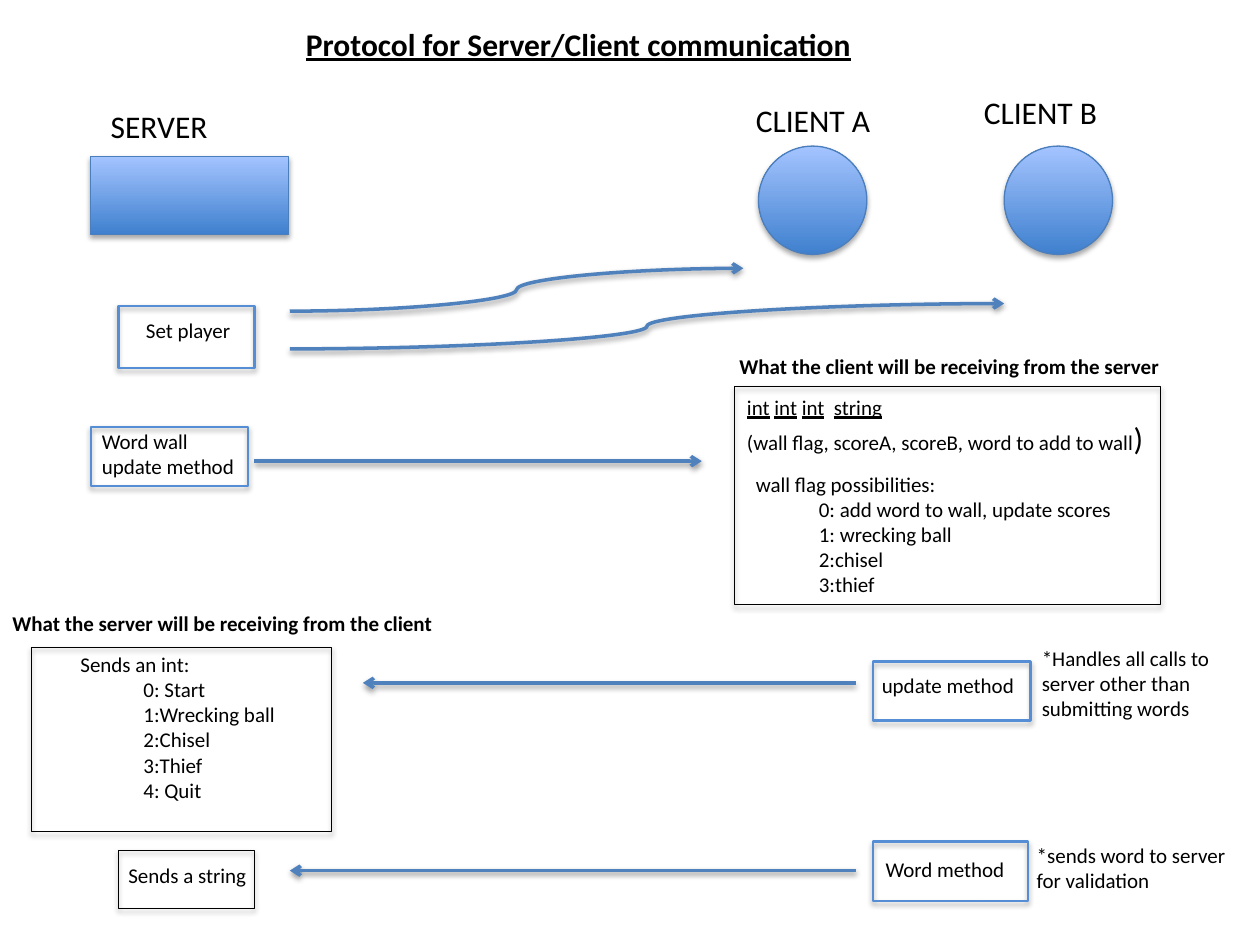
from lxml import etree
from pptx import Presentation, util as u
from pptx.dml.color import RGBColor
from pptx.enum import shapes, text
from pptx.oxml.ns import qn

# Lengths are cells of a 100 x 75 grid; a box is (left, top, width, height).
CELL = u.Inches(0.1)
BLACK, EDGE, ARROW = "000000", "558ED5", "4F81BD"
RECT, OVAL = shapes.MSO_SHAPE.RECTANGLE, shapes.MSO_SHAPE.OVAL
STRAIGHT, CURVE = shapes.MSO_CONNECTOR.STRAIGHT, shapes.MSO_CONNECTOR.CURVE


def colour(value):
    """Turn a hex string into a colour."""
    return RGBColor.from_string(value)


def cells(*values):
    """Turn grid cells into lengths."""
    return [round(value * CELL) for value in values]


def inside(box, left, top, width, height):
    """Return a box placed relative to the corner of another box."""
    return box[0] + left, box[1] + top, width, height


def add_shadow(shape, alpha, distance):
    """Give a shape or connector a soft shadow that falls downwards."""
    effects = etree.SubElement(shape._element.spPr, qn("a:effectLst"))
    outer = etree.SubElement(effects, qn("a:outerShdw"), blurRad=str(u.Pt(3.1)),
                             dist=str(u.Pt(distance)), dir="5400000", rotWithShape="0")
    shade = etree.SubElement(outer, qn("a:srgbClr"), val=BLACK)
    etree.SubElement(shade, qn("a:alpha"), val=str(alpha * 1000))


def add_outline(page, box, line=EDGE, width=1.3, kind=RECT, gradient=False):
    """Add a shadowed shape, hollow or with the blue gradient."""
    shape = page.shapes.add_shape(kind, *cells(*box))
    shape.line.color.rgb = colour(line)
    shape.line.width = u.Pt(width)
    if gradient:
        shape.fill.gradient()
        shape.fill.gradient_angle = 90
        for stop, (position, value) in zip(shape.fill.gradient_stops,
                                           [(0, "3F80CE"), (1, "A4C4FF")]):
            stop.position, stop.color.rgb = position, colour(value)
    else:
        shape.fill.background()
    add_shadow(shape, 35, 1.8)


def add_text(page, box, lines, size=12, bold=False, underline=False, wrap=False):
    """Add a text box with one paragraph a line and return its paragraphs."""
    frame = page.shapes.add_textbox(*cells(*box)).text_frame
    frame.word_wrap = wrap
    frame.auto_size = text.MSO_AUTO_SIZE.SHAPE_TO_FIT_TEXT
    frame.text = "\n".join(lines)
    for para in frame.paragraphs:
        for span in para.runs:
            style_span(span, size, bold, underline)
    return frame.paragraphs


def style_span(span, size=12, bold=False, underline=False):
    """Set the font of a run."""
    font = span.font
    font.name, font.size = "Calibri", u.Pt(size)
    font.bold, font.underline = bold, underline
    font.color.rgb = colour(BLACK)


def add_arrow(page, start, end, kind=STRAIGHT):
    """Add a blue arrow from start to end."""
    arrow = page.shapes.add_connector(kind, *cells(*start, *end))
    arrow.line.color.rgb = colour(ARROW)
    arrow.line.width = u.Pt(2)
    etree.SubElement(arrow.line._get_or_add_ln(), qn("a:tailEnd"), type="arrow")
    add_shadow(arrow, 38, 1.6)


def add_actor(page, box, label, label_box, kind):
    """Add a server or client symbol with its name above."""
    add_outline(page, box, "4B7EBC", 0.75, kind, gradient=True)
    add_text(page, inside(box, *label_box), [label], 18)


def add_method(page, box, lines, label_box, line=EDGE, width=1.3):
    """Add a framed label."""
    add_outline(page, box, line, width)
    add_text(page, inside(box, *label_box), lines)


def add_note(page, box, note):
    """Add a wrapped remark beside a method."""
    add_text(page, box, [note], wrap=True)


def add_server_messages(page, box):
    """Add the panel listing what the client receives."""
    add_outline(page, box, BLACK, 0.75)
    add_text(page, inside(box, -0.6, -3.1, 35.7, 3),
             ["What the client will be receiving from the server"], bold=True)
    types, fields = add_text(page, inside(box, 0, 0.1, 33.8, 6.1),
                             ["", "(wall flag, scoreA, scoreB, word to add to wall"])
    for part in ("int", " ", "int", " ", "int", "  ", "string"):
        span = types.add_run()
        span.text = part
        style_span(span, underline=bool(part.strip()))
    bracket = fields.add_run()
    bracket.text = ")"
    style_span(bracket, 18)
    add_text(page, inside(box, 0.7, 6.2, 30.5, 11.1),
             ["wall flag possibilities:", "\t0: add word to wall, update scores",
              "\t1: wrecking ball", "\t2:chisel", "\t3:thief"])


def add_client_messages(page, box):
    """Add the panel listing what the server receives."""
    add_outline(page, box, BLACK, 0.75)
    add_text(page, inside(box, -2.5, -3.4, 35.8, 3),
             ["What the server will be receiving from the client"], bold=True)
    add_text(page, inside(box, 2.9, -0.2, 17.6, 13.1),
             ["Sends an int:", "\t0: Start", "\t1:Wrecking ball", "\t2:Chisel",
              "\t3:Thief ", "\t4: Quit"])


def build():
    """Build the protocol slide."""
    deck = Presentation()
    deck.slide_width, deck.slide_height = cells(100, 75)
    page = deck.slides.add_slide(deck.slide_layouts[6])

    add_text(page, (23.3, 1.5, 45.7, 4), ["Protocol for Server/Client communication"],
             18, bold=True, underline=True)
    add_actor(page, (7.2, 12.4, 15.7, 6.2), "SERVER", (0.6, -4.4, 9.9, 4), RECT)
    add_actor(page, (60.2, 11.6, 8.6, 8.6), "CLIENT A", (-1.2, -4.1, 11.2, 4), OVAL)
    add_actor(page, (79.7, 11.6, 8.6, 8.6), "CLIENT B", (-2.6, -4.7, 11.2, 4), OVAL)

    add_method(page, (9.4, 24.3, 10.8, 4.9), ["Set player"], (1.2, 0.4, 8.8, 3))
    add_method(page, (7.2, 33.9, 12.5, 4.7), ["Word wall ", "update method"],
               (-0.1, -0.4, 12.6, 5))
    add_method(page, (69.3, 52.5, 12.5, 4.7), ["update method"], (-0.3, 0.4, 12.6, 3))
    add_method(page, (69.3, 66.8, 12.3, 4.7), ["Word method"], (0, 0.7, 11.6, 3))
    add_method(page, (9.4, 67.5, 10.8, 4.6), ["Sends a string"],
               (-0.2, 0.5, 11.5, 3), BLACK, 0.75)

    add_server_messages(page, (58.3, 30.7, 33.8, 17.3))
    add_client_messages(page, (2.5, 51.4, 23.8, 14.6))
    add_note(page, (81.7, 50.7, 18.3, 7.1),
             "*Handles all calls to server other than submitting words")
    add_note(page, (81.3, 66.4, 18.3, 5), "*sends word to server for validation")

    for start, end, kind in [((23, 24.7), (59, 21.3), CURVE),
                             ((23, 27.7), (79.7, 24.1), CURVE),
                             ((20.2, 36.6), (55.7, 36.6), STRAIGHT),
                             ((67.9, 54.2), (28.8, 54.2), STRAIGHT),
                             ((67.9, 69.1), (23, 69.1), STRAIGHT)]:
        add_arrow(page, start, end, kind)
    deck.save("out.pptx")


build()
